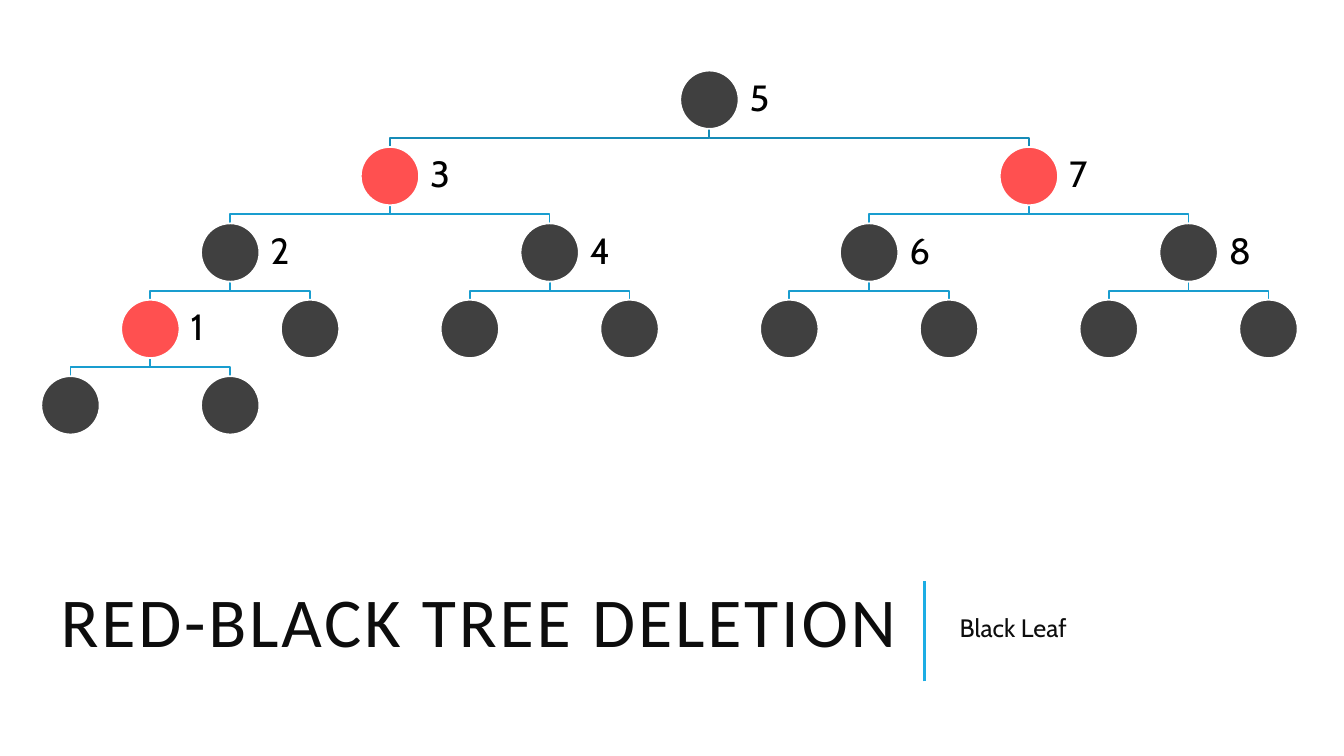
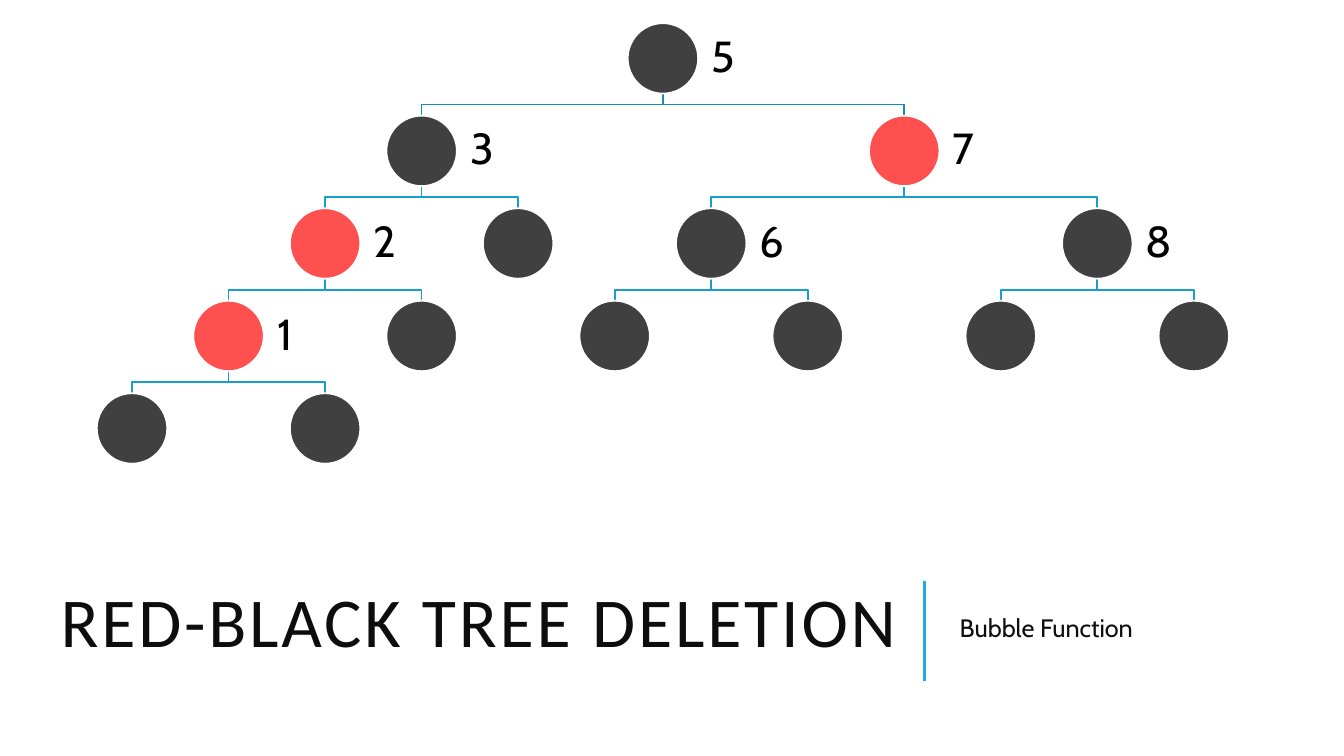
from dataclasses import dataclass
from itertools import zip_longest

from lxml.etree import SubElement
from pptx import Presentation
from pptx.dml.color import RGBColor
from pptx.enum.shapes import MSO_CONNECTOR, MSO_SHAPE
from pptx.enum.text import MSO_ANCHOR, PP_ALIGN
from pptx.oxml.ns import qn
from pptx.util import Emu, Pt

PX = 9144
SLIDE_WIDTH, SLIDE_HEIGHT = 1333, 750
BLACK = RGBColor(0x40, 0x40, 0x40)
RED = RGBColor(0xFF, 0x50, 0x50)
WHITE = RGBColor(0xFF, 0xFF, 0xFF)
KEY_COLOUR = RGBColor(0x00, 0x00, 0x00)
HEADING_COLOUR = RGBColor(0x0D, 0x0D, 0x0D)
ACCENT = RGBColor(0x1C, 0xAD, 0xE4)
ROOT_BRANCH = RGBColor(0x16, 0x8B, 0xB7)
BRANCH = RGBColor(0x19, 0x9D, 0xCF)
TITLE_FONT, BODY_FONT = "Calibri", "Cabin"
TITLE = "RED-BLACK TREE DELETION"
FOOTER_BOX = (50, 542, 1242, 160)
CIRCLE_TO_SLOT = 0.73
LABEL_WIDTH, LABEL_INSET = 1.5, 0.19


@dataclass
class Node:
    """A tree node; without a key it is a black nil leaf."""
    key: str = ""
    colour: RGBColor = BLACK
    children: tuple = ()


NIL = Node()


def black(key, left=NIL, right=NIL):
    """Return a black node holding a key."""
    return Node(key, BLACK, (left, right))


def red(key, left=NIL, right=NIL):
    """Return a red node holding a key."""
    return Node(key, RED, (left, right))


def px(length):
    """Turn px into EMU."""
    return Emu(round(length * PX))


def half_gap(node):
    """Return how many slots each child stands from its parent."""
    left, right = map(outline, node.children)
    return max(l[1] - r[0] for l, r in zip(left, right)) / 2 + 1


def outline(node):
    """Return the outermost slots of a subtree on each of its levels."""
    levels = [(0, 0)]
    if node.children:
        gap = half_gap(node)
        left, right = map(outline, node.children)
        for l, r in zip_longest(left, right, fillvalue=()):
            slots = [x - gap for x in l] + [x + gap for x in r]
            levels.append((min(slots), max(slots)))
    return levels


def add_text(slide, box, text, size, font, colour, inset=(10, 5)):
    """Add a vertically centred one-paragraph text and return paragraph and run."""
    frame = slide.shapes.add_textbox(*map(px, box)).text_frame
    frame.word_wrap = True
    frame.vertical_anchor = MSO_ANCHOR.MIDDLE
    frame.margin_left = frame.margin_right = px(inset[0])
    frame.margin_top = frame.margin_bottom = px(inset[1])
    paragraph = frame.paragraphs[0]
    run = paragraph.add_run()
    run.text = text
    run.font.size = Pt(size)
    run.font.name = font
    run.font.color.rgb = colour
    return paragraph, run


def add_branch(slide, start, end, colour):
    """Draw an elbow from a parent's foot to a child's top."""
    (x1, y1), (x2, y2) = start, end
    middle = (y1 + y2) / 2
    builder = slide.shapes.build_freeform(px(x1), px(y1), scale=1.0)
    corners = [(x1, middle), (x2, middle), (x2, y2)]
    builder.add_line_segments([(px(x), px(y)) for x, y in corners], close=False)
    branch = builder.convert_to_shape()
    branch.shadow.inherit = False
    branch.fill.background()
    branch.line.color.rgb = colour
    branch.line.width = Pt(1.25)


def add_node(slide, node, x, y, diameter, key_size):
    """Draw a node's circle and its key, given the top centre."""
    left = x - diameter / 2
    circle = slide.shapes.add_shape(
        MSO_SHAPE.OVAL, *map(px, (left, y, diameter, diameter)))
    circle.shadow.inherit = False
    circle.fill.solid()
    circle.fill.fore_color.rgb = node.colour
    circle.line.color.rgb = WHITE
    circle.line.width = Pt(1.25)
    if node.key:
        inset = LABEL_INSET * diameter
        label = (left + diameter, y, LABEL_WIDTH * diameter, diameter)
        paragraph, _ = add_text(slide, label, node.key, key_size, BODY_FONT,
                                KEY_COLOUR, (inset, inset))
        paragraph.line_spacing = 0.9


def add_tree(slide, box, root, key_size):
    """Fill a box with a tree, each parent centred over its children."""
    left, top, width, height = box
    levels = outline(root)
    first = min(level[0] for level in levels)
    last = max(level[1] for level in levels)
    slot = width / (last - first + CIRCLE_TO_SLOT)
    diameter = CIRCLE_TO_SLOT * slot
    row = (height - diameter) / (len(levels) - 1)

    def place(node, x, y, colour):
        """Draw a subtree from its top centre."""
        for side, child in zip((-1, 1), node.children):
            child_x = x + side * half_gap(node) * slot
            add_branch(slide, (x, y + diameter), (child_x, y + row), colour)
            place(child, child_x, y + row, BRANCH)
        add_node(slide, node, x, y, diameter, key_size)

    place(root, left + diameter / 2 - first * slot, top, ROOT_BRANCH)


def add_footer(slide, box, subtitle):
    """Place the title, the dividing rule and the subtitle in a box."""
    left, top, width, height = box
    title, title_run = add_text(slide, (left, top, 850, height), TITLE, 50,
                                TITLE_FONT, HEADING_COLOUR)
    title.alignment = PP_ALIGN.RIGHT
    title.line_spacing = 0.8
    title_run.font._element.set("spc", "200")
    rule_x = left + 867
    rule = slide.shapes.add_connector(
        MSO_CONNECTOR.STRAIGHT,
        *map(px, (rule_x, top + 134, rule_x, top + 34)))
    rule.line.color.rgb = ACCENT
    rule.line.width = Pt(1.5)
    SubElement(rule._element.spPr, qn("a:effectLst"))
    caption, _ = add_text(slide, (left + 892, top, width - 892, height),
                          subtitle, 18, BODY_FONT, HEADING_COLOUR)
    caption.space_after = Pt(2)


def add_tree_slide(deck, subtitle, box, root, key_size):
    """Add a slide with a tree above the shared footer."""
    slide = deck.slides.add_slide(deck.slide_layouts[6])
    add_footer(slide, FOOTER_BOX, subtitle)
    add_tree(slide, box, root, key_size)


def main():
    """Build and save the deck."""
    deck = Presentation()
    deck.slide_width, deck.slide_height = px(SLIDE_WIDTH), px(SLIDE_HEIGHT)
    right_subtree = red("7", black("6"), black("8"))
    before = black("5", red("3", black("2", red("1")), black("4")), right_subtree)
    after = black("5", black("3", red("2", red("1"))), right_subtree)
    add_tree_slide(deck, "Black Leaf", (41, 70, 1246, 361), before, 26)
    add_tree_slide(deck, "Bubble Function", (96, 23, 1123, 437), after, 31)
    deck.save("out.pptx")


if __name__ == "__main__":
    main()
